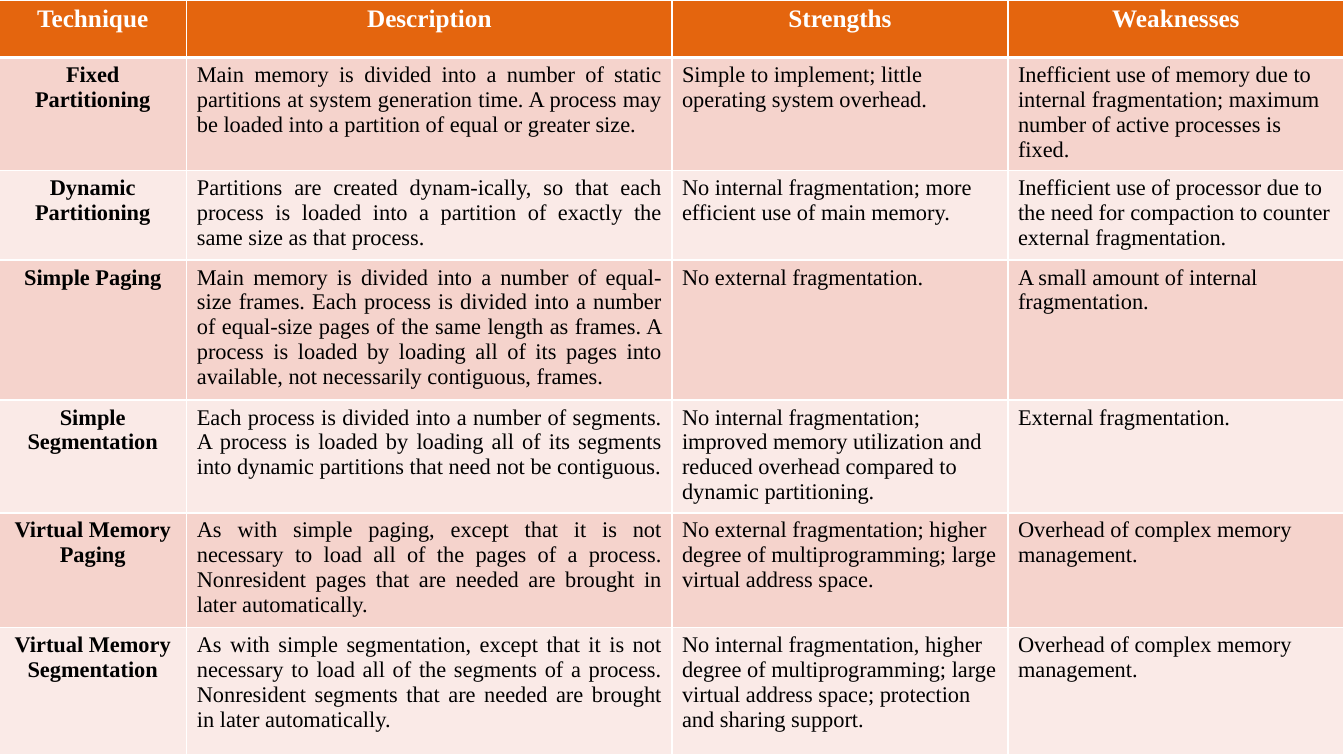
from dataclasses import dataclass

from lxml import etree
from pptx import Presentation
from pptx.dml.color import RGBColor
from pptx.enum.text import PP_ALIGN
from pptx.oxml.ns import qn
from pptx.util import Inches, Pt

LEFT, CENTER, JUSTIFY = PP_ALIGN.LEFT, PP_ALIGN.CENTER, PP_ALIGN.JUSTIFY
BLANK_LAYOUT = 6

# Shares of the slide, in percent
TABLE_LEFT = -0.1
COLUMN_SHARES = (14, 36.1, 25, 25)
ROW_SHARES = (7.6, 14.93, 11.87, 18.53, 14.93, 15.2, 16.8)
COLUMN_ALIGNMENTS = (CENTER, JUSTIFY, LEFT, LEFT)

TECHNIQUES = (
    ("Technique", "Description", "Strengths", "Weaknesses"),
    ("Fixed Partitioning",
     "Main memory is divided into a number of static partitions at system "
     "generation time. A process may be loaded into a partition of equal or "
     "greater size.",
     "Simple to implement; little operating system overhead.",
     "Inefficient use of memory due to internal fragmentation; maximum number "
     "of active processes is fixed."),
    ("Dynamic Partitioning",
     "Partitions are created dynam-ically, so that each process is loaded into "
     "a partition of exactly the same size as that process.",
     "No internal fragmentation; more efficient use of main memory.",
     "Inefficient use of processor due to the need for compaction to counter "
     "external fragmentation."),
    ("Simple Paging",
     "Main memory is divided into a number of equal-size frames. Each process "
     "is divided into a number of equal-size pages of the same length as "
     "frames. A process is loaded by loading all of its pages into available, "
     "not necessarily contiguous, frames.",
     "No external fragmentation.",
     "A small amount of internal fragmentation."),
    ("Simple Segmentation",
     "Each process is divided into a number of segments. A process is loaded "
     "by loading all of its segments into dynamic partitions that need not be "
     "contiguous.",
     "No internal fragmentation; improved memory utilization and reduced "
     "overhead compared to dynamic partitioning.",
     "External fragmentation."),
    ("Virtual Memory Paging",
     "As with simple paging, except that it is not necessary to load all of "
     "the pages of a process. Nonresident pages that are needed are brought in "
     "later automatically.",
     "No external fragmentation; higher degree of multiprogramming; large "
     "virtual address space.",
     "Overhead of complex memory management."),
    ("Virtual Memory Segmentation",
     "As with simple segmentation, except that it is not necessary to load all "
     "of the segments of a process. Nonresident segments that are needed are "
     "brought in later automatically.",
     "No internal fragmentation, higher degree of multiprogramming; large "
     "virtual address space; protection and sharing support.",
     "Overhead of complex memory management."),
)


@dataclass(frozen=True)
class Theme:
    font: str = "Times New Roman"
    header_size: int = 18
    body_size: int = 16
    header_fill: str = "E4650E"
    band_fills: tuple = ("FAEAE7", "F5D3CC")
    header_text: str = "FFFFFF"
    body_text: str = "000000"
    border: str = "FFFFFF"
    border_width: int = 1
    header_rule_width: int = 3


class SlideBuilder:
    def __init__(self, presentation, theme):
        self.theme = theme
        self.width = presentation.slide_width
        self.height = presentation.slide_height
        layout = presentation.slide_layouts[BLANK_LAYOUT]
        self.slide = presentation.slides.add_slide(layout)

    def across(self, percent):
        return round(self.width * percent / 100)

    def down(self, percent):
        return round(self.height * percent / 100)

    def add_table(self, rows):
        table = self.slide.shapes.add_table(
            len(rows), len(COLUMN_SHARES), self.across(TABLE_LEFT), 0,
            self.across(sum(COLUMN_SHARES)), self.down(sum(ROW_SHARES))).table
        for column, share in zip(table.columns, COLUMN_SHARES):
            column.width = self.across(share)
        for row, share in zip(table.rows, ROW_SHARES):
            row.height = self.down(share)
        for row_index, texts in enumerate(rows):
            for column_index, text in enumerate(texts):
                cell = table.cell(row_index, column_index)
                self.write_cell(cell, text, row_index, column_index)
                self.draw_borders(cell, row_index)

    def write_cell(self, cell, text, row_index, column_index):
        theme = self.theme
        is_header = row_index == 0
        cell.text_frame.text = text
        paragraph = cell.text_frame.paragraphs[0]
        paragraph.alignment = CENTER if is_header else COLUMN_ALIGNMENTS[column_index]
        font = paragraph.runs[0].font
        font.name = theme.font
        font.size = Pt(theme.header_size if is_header else theme.body_size)
        font.bold = is_header or column_index == 0
        font.color.rgb = RGBColor.from_string(
            theme.header_text if is_header else theme.body_text)
        cell.fill.solid()
        cell.fill.fore_color.rgb = RGBColor.from_string(
            theme.header_fill if is_header else theme.band_fills[row_index % 2])

    def draw_borders(self, cell, row_index):
        """Outline a cell, with a thicker rule between header and body."""
        theme = self.theme
        thick_side = {0: "lnB", 1: "lnT"}.get(row_index)
        properties = cell._tc.get_or_add_tcPr()
        for position, side in enumerate(("lnL", "lnR", "lnT", "lnB")):
            width = theme.header_rule_width if side == thick_side else theme.border_width
            line = etree.Element(qn(f"a:{side}"), w=str(Pt(width)))
            fill = etree.SubElement(line, qn("a:solidFill"))
            etree.SubElement(fill, qn("a:srgbClr"), val=theme.border)
            properties.insert(position, line)


def main():
    presentation = Presentation()
    presentation.slide_width = Inches(13.33)
    presentation.slide_height = Inches(7.5)
    SlideBuilder(presentation, Theme()).add_table(TECHNIQUES)
    presentation.save("out.pptx")


if __name__ == "__main__":
    main()
